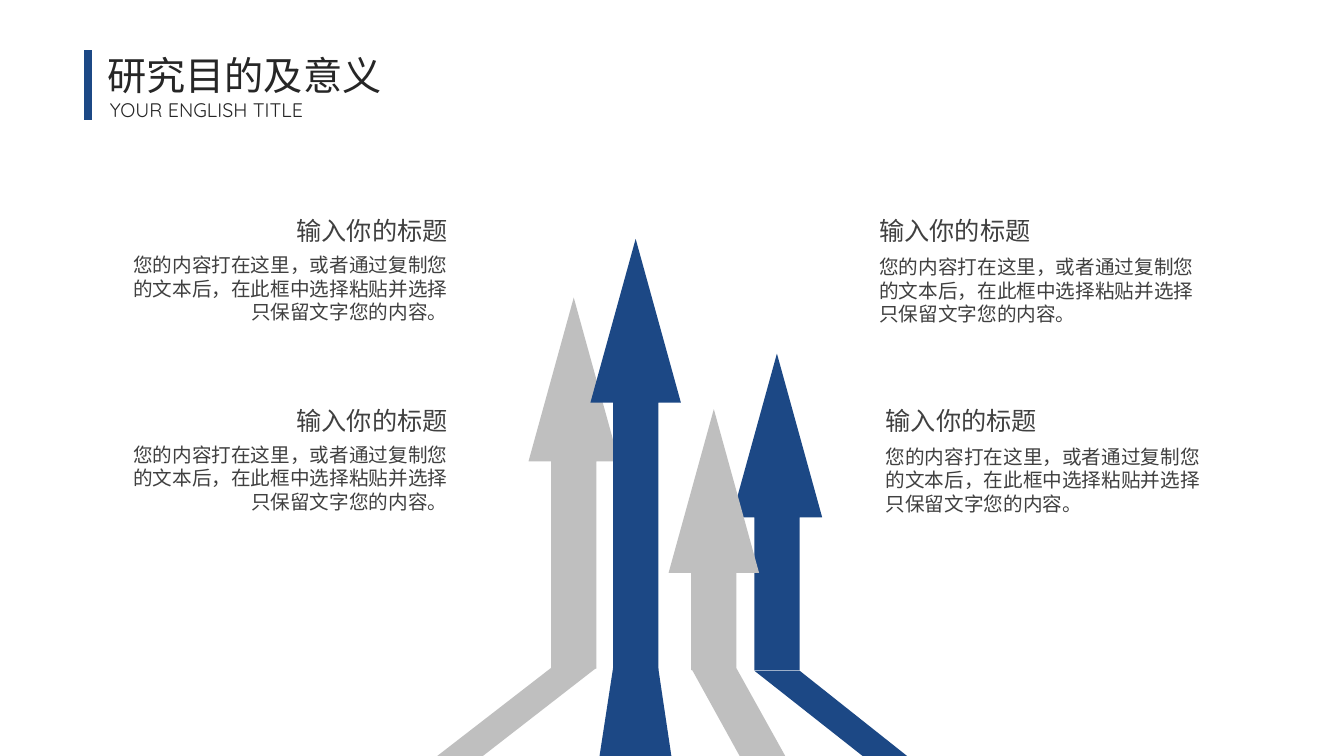
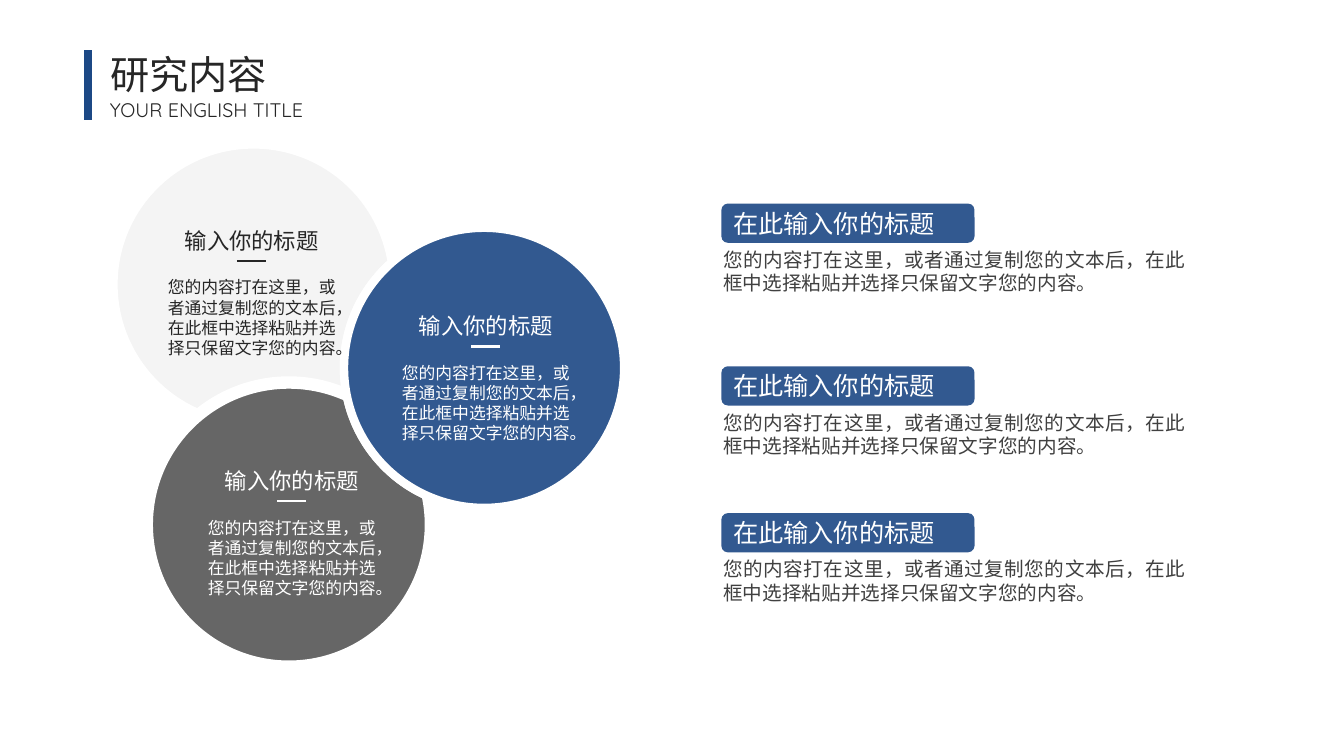
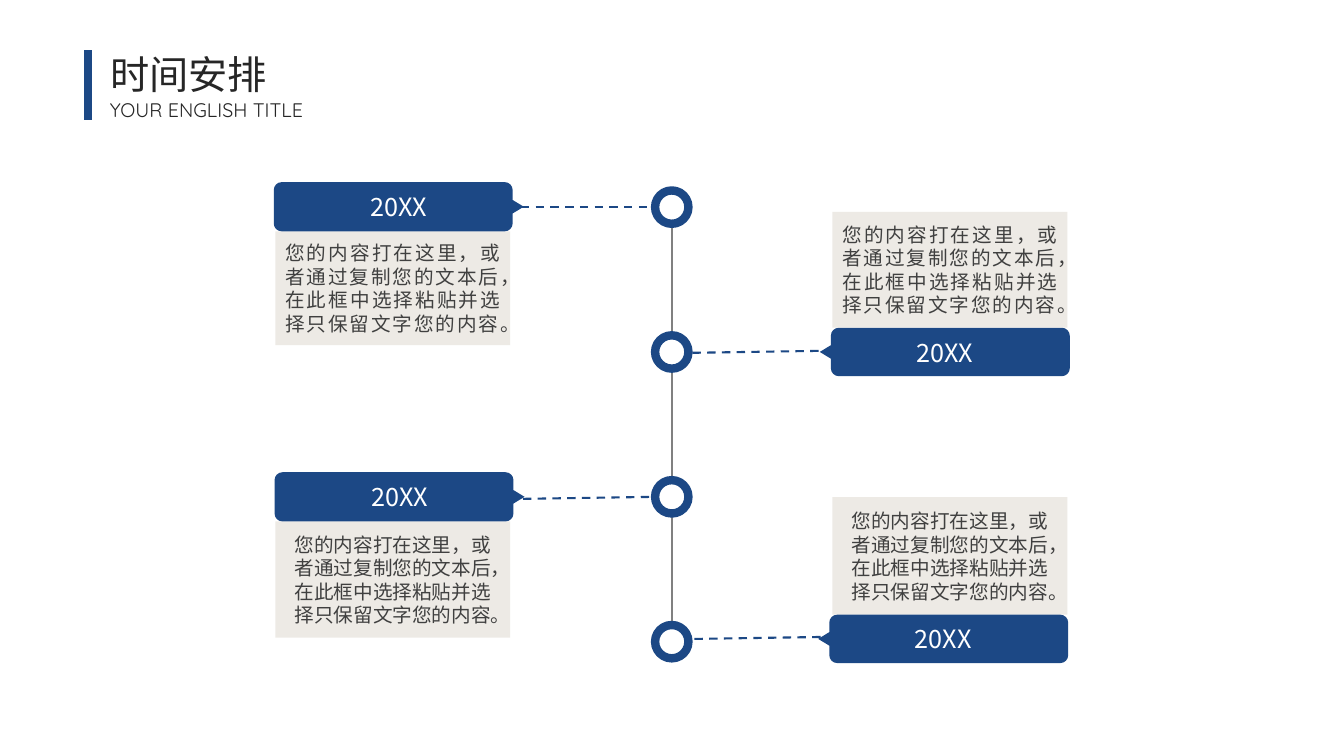
from dataclasses import dataclass
from math import acos, atan2, ceil, cos, floor, hypot, pi, sin, tan
from typing import Optional

from lxml.etree import SubElement
from pptx import Presentation
from pptx.dml.color import RGBColor
from pptx.enum.dml import MSO_LINE
from pptx.enum.shapes import MSO_CONNECTOR, MSO_SHAPE
from pptx.enum.text import MSO_ANCHOR, MSO_AUTO_SIZE, PP_ALIGN
from pptx.oxml.ns import qn
from pptx.util import Cm, Pt

Point = tuple[float, float]
Piece = tuple[Point, ...]  # one point: straight line; three points: cubic curve


@dataclass(frozen=True)
class Theme:
    blue: str = "1C4885"
    silver: str = "BFBFBF"
    pale: str = "F2F2F2"
    sand: str = "EDEAE5"
    axis: str = "808080"
    ink: str = "262626"
    text: str = "404040"
    white: str = "FFFFFF"
    cjk: str = "Noto Sans CJK SC"
    latin: str = "Quicksand"
    title_size: int = 28
    heading_size: int = 18
    circle_heading_size: int = 16
    body_size: int = 14
    small_size: int = 12
    leading: float = 1.2
    thick: float = 6
    thin: float = 1.5


THEME = Theme()
WIDTH, HEIGHT = 33.87, 19.05
HEADING = "输入你的标题"
BODY = "您的内容打在这里，或者通过复制您的文本后，在此框中选择粘贴并选择只保留文字您的内容。"


@dataclass(frozen=True)
class Box:
    """Position and size in centimetres."""
    left: float
    top: float
    width: float
    height: float

    def lengths(self) -> tuple:
        return Cm(self.left), Cm(self.top), Cm(self.width), Cm(self.height)


@dataclass(frozen=True)
class Style:
    size: int
    color: str
    align: PP_ALIGN = PP_ALIGN.LEFT
    font: str = THEME.cjk


@dataclass(frozen=True)
class Arrow:
    left: float
    top: float
    height: float
    color: str
    root_top: float
    foot_left: float
    foot_right: float


@dataclass(frozen=True)
class Circle:
    x: float
    y: float
    radius: float = 3.53

    def at(self, angle: float) -> Point:
        return self.x + self.radius * cos(angle), self.y + self.radius * sin(angle)

    def angle_of(self, point: Point) -> float:
        return atan2(point[1] - self.y, point[0] - self.x)


@dataclass(frozen=True)
class Topic:
    circle: Circle
    fill: str
    opacity: int
    ink: str
    text_x: float
    text_top: float
    bites: tuple[Circle, ...] = ()


@dataclass(frozen=True)
class Milestone:
    tag_left: float
    tag_top: float
    tag_height: float
    note_left: float
    note_height: float
    align: PP_ALIGN
    link: tuple[Point, Point]
    on_left: bool


def write(frame, text: str, style: Style) -> None:
    frame.word_wrap = True
    paragraph = frame.paragraphs[0]
    paragraph.alignment = style.align
    paragraph.line_spacing = Pt(round(style.size * THEME.leading, 1))
    run = paragraph.add_run()
    run.text = text
    run.font.size = Pt(style.size)
    run.font.color.rgb = RGBColor.from_string(style.color)
    run.font.name = style.font
    SubElement(run.font._element, qn("a:ea")).set("typeface", style.font)


def add_text(slide, box: Box, text: str, style: Style) -> None:
    frame = slide.shapes.add_textbox(*box.lengths()).text_frame
    frame.auto_size = MSO_AUTO_SIZE.SHAPE_TO_FIT_TEXT
    write(frame, text, style)


def paint(shape, fill: str, opacity: int = 100, outline: Optional[str] = None) -> None:
    shape.shadow.inherit = False
    shape.fill.solid()
    shape.fill.fore_color.rgb = RGBColor.from_string(fill)
    if opacity < 100:
        color = shape._element.spPr.find(qn("a:solidFill")).find(qn("a:srgbClr"))
        SubElement(color, qn("a:alpha")).set("val", str(opacity * 1000))
    if outline:
        shape.line.color.rgb = RGBColor.from_string(outline)
        shape.line.width = Pt(THEME.thick)
    else:
        shape.line.fill.background()


def add_preset(slide, kind: MSO_SHAPE, box: Box, fill: str, opacity: int = 100,
               outline: Optional[str] = None):
    shape = slide.shapes.add_shape(kind, *box.lengths())
    paint(shape, fill, opacity, outline)
    return shape


def add_outline(slide, start: Point, pieces: list[Piece], fill: str,
                opacity: int = 100, outline: Optional[str] = None):
    """Draw a closed outline, joining each three-point piece into one cubic curve."""
    builder = slide.shapes.build_freeform(Cm(start[0]), Cm(start[1]))
    builder.add_line_segments([(Cm(x), Cm(y)) for piece in pieces for x, y in piece],
                              close=True)
    shape = builder.convert_to_shape()
    segments = list(shape._element.spPr.iter(qn("a:lnTo")))
    position = 0
    for piece in pieces:
        group = segments[position:position + len(piece)]
        position += len(piece)
        if len(group) == 3:
            curve = group[0]
            curve.tag = qn("a:cubicBezTo")
            for segment in group[1:]:
                curve.append(segment[0])
                segment.getparent().remove(segment)
    paint(shape, fill, opacity, outline)
    return shape


def add_line(slide, start: Point, end: Point, color: str, width: float,
             dashed: bool = False) -> None:
    ends = (Cm(value) for value in (*start, *end))
    line = slide.shapes.add_connector(MSO_CONNECTOR.STRAIGHT, *ends)
    line.line.color.rgb = RGBColor.from_string(color)
    line.line.width = Pt(width)
    if dashed:
        line.line.dash_style = MSO_LINE.DASH
    SubElement(line._element.spPr, qn("a:effectLst"))


def add_titled_slide(deck, title: str, title_box: Box = Box(2.53, 1.14, 7.06, 1.45),
                     align: PP_ALIGN = PP_ALIGN.LEFT):
    slide = deck.slides.add_slide(deck.slide_layouts[6])
    add_text(slide, title_box, title, Style(THEME.title_size, THEME.ink, align))
    add_text(slide, Box(2.52, 2.34, 6.25, 0.86), "YOUR ENGLISH TITLE",
             Style(THEME.body_size, THEME.ink, PP_ALIGN.JUSTIFY, THEME.latin))
    add_line(slide, (2.22, 1.27), (2.22, 3.02), THEME.blue, THEME.thick)
    return slide


def draw_arrow(slide, arrow: Arrow) -> None:
    """Draw an upright arrow and the root that leads to the slide's lower edge."""
    width = 2.28
    shape = add_preset(slide, MSO_SHAPE.UP_ARROW,
                       Box(arrow.left, arrow.top, width, arrow.height), arrow.color)
    shape.adjustments[0] = 0.5
    shape.adjustments[1] = 1.81
    add_outline(slide, (arrow.left + width / 4, arrow.root_top),
                [((arrow.left + width * 3 / 4, arrow.root_top),),
                 ((arrow.foot_right, HEIGHT),), ((arrow.foot_left, HEIGHT),)],
                arrow.color)


def build_purpose(deck) -> None:
    slide = add_titled_slide(deck, "研究目的及意义", Box(2.21, 1.17, 7.9, 1.45),
                             PP_ALIGN.CENTER)
    for arrow in (Arrow(13.32, 7.5, 9.35, THEME.silver, 16.83, 11.02, 12.17),
                  Arrow(18.44, 8.91, 7.98, THEME.blue, 16.9, 21.74, 22.86),
                  Arrow(16.85, 10.31, 6.58, THEME.silver, 16.84, 18.64, 19.79),
                  Arrow(14.88, 6.02, 10.87, THEME.blue, 16.84, 15.11, 16.92)):
        draw_arrow(slide, arrow)

    for top, right_left in ((5.31, 21.91), (10.09, 22.07)):
        for heading_left, body_left, body_width, drop, align in (
                (5.36, 3.07, 8.46, 0.94, PP_ALIGN.RIGHT),
                (right_left, right_left, 8.76, 0.99, PP_ALIGN.LEFT)):
            add_text(slide, Box(heading_left, top, 6.17, 1.02), HEADING,
                     Style(THEME.heading_size, THEME.text, align))
            add_text(slide, Box(body_left, top + drop, body_width, 2.06), BODY,
                     Style(THEME.body_size, THEME.text, align))


def arc(circle: Circle, start: float, end: float) -> list[Piece]:
    """Cubic curves along a circle, split where it crosses its own axes."""
    low, high = sorted((start, end))
    quarters = range(floor(low / (pi / 2)) + 1, ceil(high / (pi / 2)))
    stops = [low, *(quarter * pi / 2 for quarter in quarters), high]
    if end < start:
        stops.reverse()
    pieces = []
    for first, last in zip(stops, stops[1:]):
        pull = circle.radius * 4 / 3 * tan((last - first) / 4)
        (x1, y1), (x2, y2) = circle.at(first), circle.at(last)
        pieces.append(((x1 - pull * sin(first), y1 + pull * cos(first)),
                       (x2 + pull * sin(last), y2 - pull * cos(last)), (x2, y2)))
    return pieces


def bitten_circle(circle: Circle, bites: tuple[Circle, ...]) -> tuple[Point, list[Piece]]:
    """Outline of a circle less its neighbours, which are given in clockwise order."""
    spans = []
    for bite in bites:
        gap = hypot(bite.x - circle.x, bite.y - circle.y)
        half = acos((gap ** 2 + circle.radius ** 2 - bite.radius ** 2)
                    / (2 * gap * circle.radius))
        middle = circle.angle_of((bite.x, bite.y))
        spans.append((middle - half, middle + half))
    pieces = []
    next_entries = [span[0] for span in spans[1:]] + [spans[0][0] + 2 * pi]
    for bite, (entry, leave), next_entry in zip(bites, spans, next_entries):
        inner_start = bite.angle_of(circle.at(entry))
        inner_end = bite.angle_of(circle.at(leave))
        if inner_end > inner_start:
            inner_end -= 2 * pi
        pieces += arc(bite, inner_start, inner_end)
        pieces += arc(circle, leave, next_entry)
    return circle.at(spans[0][0]), pieces


def draw_topic_text(slide, topic: Topic) -> None:
    x, top = topic.text_x, topic.text_top
    add_text(slide, Box(x - 3.08, top, 6.17, 0.94), HEADING,
             Style(THEME.circle_heading_size, topic.ink, PP_ALIGN.CENTER))
    add_text(slide, Box(x - 2.47, top + 1.27, 4.95, 2.31), BODY,
             Style(THEME.small_size, topic.ink, PP_ALIGN.CENTER))
    add_line(slide, (x - 0.37, top + 0.99), (x + 0.37, top + 0.99),
             topic.ink, THEME.thin)


def build_content(deck) -> None:
    slide = add_titled_slide(deck, "研究内容")
    upper, lower, right = Circle(6.39, 7.17), Circle(7.28, 13.22), Circle(12.2, 9.27)
    lower_gap = Circle(lower.x, lower.y, 3.63)
    topics = (
        Topic(upper, THEME.pale, 80, THEME.ink, 6.34, 5.59, (right, lower_gap)),
        Topic(lower, THEME.text, 80, THEME.white, 7.35, 11.64, (right,)),
        Topic(right, THEME.blue, 90, THEME.white, 12.24, 7.74),
    )
    for topic in topics:
        circle = topic.circle
        if topic.bites:
            start, pieces = bitten_circle(circle, topic.bites)
            add_outline(slide, start, pieces, topic.fill, topic.opacity, THEME.white)
        else:
            side = 2 * circle.radius
            add_preset(slide, MSO_SHAPE.OVAL,
                       Box(circle.x - circle.radius, circle.y - circle.radius, side, side),
                       topic.fill, topic.opacity, THEME.white)
    for topic in topics:
        draw_topic_text(slide, topic)

    for top in (5.13, 9.23, 12.93):
        add_text(slide, Box(17.98, top + 0.99, 12.14, 1.45), BODY,
                 Style(THEME.body_size, THEME.text, PP_ALIGN.JUSTIFY))
        tag = add_preset(slide, MSO_SHAPE.ROUNDED_RECTANGLE,
                         Box(18.18, top, 6.38, 0.99), THEME.blue, 90)
        tag.text_frame.vertical_anchor = MSO_ANCHOR.MIDDLE
        write(tag.text_frame, "在此" + HEADING,
              Style(THEME.heading_size, THEME.white, PP_ALIGN.JUSTIFY))


def tag_outline(box: Box, points_right: bool) -> tuple[Point, list[Piece]]:
    """Rounded bar with a small tip in the middle of one side."""
    tip, half_tip, radius = 0.28, 0.17, 0.2
    body, middle = box.width - tip, box.height / 2
    pieces: list[Piece] = [((box.width, middle),), ((body, middle + half_tip),)]
    corners = ((body - radius, box.height - radius), (radius, box.height - radius),
               (radius, radius), (body - radius, radius))
    for quarter, (x, y) in enumerate(corners):
        corner = Circle(x, y, radius)
        start = quarter * pi / 2
        pieces.append((corner.at(start),))
        pieces += arc(corner, start, start + pi / 2)

    def place(point: Point) -> Point:
        x, y = point
        return box.left + (x if points_right else box.width - x), box.top + y

    return (place((body, middle - half_tip)),
            [tuple(place(point) for point in piece) for piece in pieces])


def draw_milestone(slide, stone: Milestone) -> None:
    shift = stone.tag_height if stone.on_left else -stone.note_height
    note = add_preset(slide, MSO_SHAPE.RECTANGLE,
                      Box(stone.note_left, stone.tag_top + shift, 5.92, stone.note_height),
                      THEME.sand)
    tag_box = Box(stone.tag_left, stone.tag_top, 6.3, stone.tag_height)
    start, pieces = tag_outline(tag_box, stone.on_left)
    tag = add_outline(slide, start, pieces, THEME.blue)
    for shape, text, style in (
            (note, BODY, Style(THEME.body_size, THEME.text, stone.align)),
            (tag, "20XX", Style(THEME.heading_size, THEME.white, PP_ALIGN.CENTER))):
        shape.text_frame.vertical_anchor = MSO_ANCHOR.MIDDLE
        write(shape.text_frame, text, style)
    add_line(slide, *stone.link, THEME.blue, THEME.thin, dashed=True)


def build_schedule(deck) -> None:
    slide = add_titled_slide(deck, "时间安排")
    axis_x, first_y, pitch, ring = 16.93, 5.22, 3.65, 0.84
    add_line(slide, (axis_x, 4.8), (axis_x, 16.61), THEME.axis, THEME.thin)
    for index in range(4):
        add_preset(slide, MSO_SHAPE.OVAL,
                   Box(axis_x - ring / 2, first_y + index * pitch - ring / 2, ring, ring),
                   THEME.white, outline=THEME.blue)

    justify, center = PP_ALIGN.JUSTIFY, PP_ALIGN.CENTER
    for stone in (
            Milestone(6.9, 4.59, 1.24, 6.94, 2.87, justify,
                      ((13.13, 5.21), (16.51, 5.21)), True),
            Milestone(20.66, 8.26, 1.22, 20.98, 2.92, justify,
                      ((17.45, 8.89), (20.7, 8.84)), False),
            Milestone(6.92, 11.9, 1.24, 6.94, 2.93, center,
                      ((13.18, 12.57), (16.48, 12.52)), True),
            Milestone(20.62, 15.49, 1.22, 20.98, 2.96, center,
                      ((17.5, 16.1), (20.73, 16.05)), False)):
        draw_milestone(slide, stone)


def main() -> None:
    deck = Presentation()
    deck.slide_width, deck.slide_height = Cm(WIDTH), Cm(HEIGHT)
    build_purpose(deck)
    build_content(deck)
    build_schedule(deck)
    deck.save("out.pptx")


if __name__ == "__main__":
    main()
